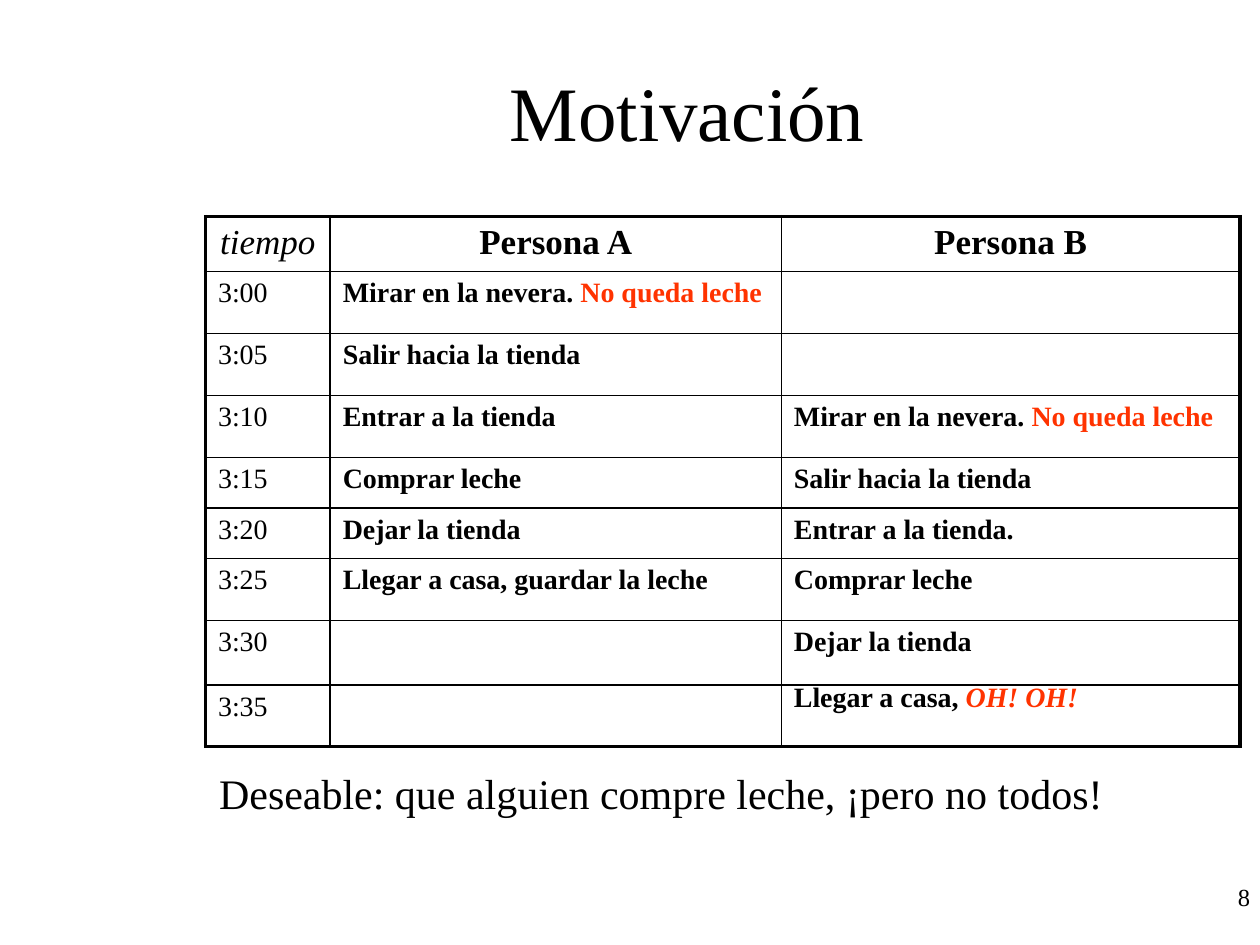
from pptx import Presentation
from pptx.dml.color import RGBColor
from pptx.enum.text import MSO_ANCHOR, PP_ALIGN
from pptx.oxml.ns import qn
from pptx.util import Pt
from lxml.etree import SubElement

FONT = "Times New Roman"
COLORS = {"black": "000000", "white": "FFFFFF", "alert": "FF3300"}

HEADER = ["tiempo", "Persona A", "Persona B"]
LOOK = ("Mirar en la nevera. ", "No queda leche")
SCHEDULE = [
    ("3:00", LOOK, ""),
    ("3:05", "Salir hacia la tienda", ""),
    ("3:10", "Entrar a la tienda", LOOK),
    ("3:15", "Comprar leche", "Salir hacia la tienda"),
    ("3:20", "Dejar la tienda", "Entrar a la tienda."),
    ("3:25", "Llegar a casa, guardar la leche", "Comprar leche"),
    ("3:30", "", "Dejar la tienda"),
    ("3:35", "", ("Llegar a casa, ", "OH! OH!")),
]
COL_WIDTHS = [71.3, 257.8, 262.1]
ROW_HEIGHTS = [31.2, 35.5, 35.5, 35.5, 28.8, 28.8, 35.5, 36.8, 35.2]
THIN, THICK = 1, 2.25

TEXTS = [
    ("Motivación", (113.8, 18, 558, 90), 44, PP_ALIGN.CENTER, MSO_ANCHOR.MIDDLE, 1),
    ("Deseable: que alguien compre leche, ¡pero no todos!",
     (118.1, 438.5, 565.2, 42.5), 24, PP_ALIGN.LEFT, MSO_ANCHOR.TOP, 0.9),
    ("8", (571.7, 500.4, 149.8, 36), 14, PP_ALIGN.RIGHT, MSO_ANCHOR.TOP, 1),
]


def rgb(name):
    return RGBColor.from_string(COLORS[name])


def style(r, size, bold=False, italic=False, color="black"):
    r.font.name = FONT
    r.font.size = Pt(size)
    r.font.bold = bold
    r.font.italic = italic
    r.font.color.rgb = rgb(color)


def add_text(s, text, box, size, align, anchor, spacing):
    tf = s.shapes.add_textbox(*map(Pt, box)).text_frame
    tf.word_wrap = True
    tf.vertical_anchor = anchor
    tf.text = text
    p = tf.paragraphs[0]
    p.alignment = align
    p.line_spacing = spacing
    style(p.runs[0], size)


def set_borders(cell, row, col, last_row, last_col):
    outer = {"a:lnL": col == 0, "a:lnR": col == last_col,
             "a:lnT": row == 0, "a:lnB": row == last_row}
    tc_pr = cell._tc.get_or_add_tcPr()
    for tag, is_outer in outer.items():
        width = Pt(THICK if is_outer else THIN)
        ln = SubElement(tc_pr, qn(tag), w=str(int(width)))
        fill = SubElement(ln, qn("a:solidFill"))
        SubElement(fill, qn("a:srgbClr"), val=COLORS["black"])


def fill_cell(cell, content, row, col):
    parts = (content,) if isinstance(content, str) else content
    p = cell.text_frame.paragraphs[0]
    if row == 0:
        p.alignment = PP_ALIGN.CENTER
    for i, part in enumerate(filter(None, parts)):
        r = p.add_run()
        r.text = part
        style(r, 20 if row == 0 else 16, bold=col > 0,
              italic=part in ("tiempo", "OH! OH!"),
              color="alert" if i else "black")


def add_schedule(s):
    rows = [HEADER, *SCHEDULE]
    table = s.shapes.add_table(
        len(rows), len(HEADER), Pt(117.4), Pt(123.8),
        Pt(sum(COL_WIDTHS)), Pt(sum(ROW_HEIGHTS))).table
    for column, width in zip(table.columns, COL_WIDTHS):
        column.width = Pt(width)
    for table_row, height in zip(table.rows, ROW_HEIGHTS):
        table_row.height = Pt(height)
    for i, row in enumerate(rows):
        for j, content in enumerate(row):
            cell = table.cell(i, j)
            set_borders(cell, i, j, len(rows) - 1, len(HEADER) - 1)
            cell.fill.background()
            fill_cell(cell, content, i, j)
    table.cell(len(rows) - 1, 2).text_frame.paragraphs[0].line_spacing = 0.65


def main():
    prs = Presentation()
    prs.slide_width, prs.slide_height = Pt(720), Pt(540)
    s = prs.slides.add_slide(prs.slide_layouts[6])
    s.background.fill.solid()
    s.background.fill.fore_color.rgb = rgb("white")
    for item in TEXTS:
        add_text(s, *item)
    add_schedule(s)
    prs.save("out.pptx")


if __name__ == "__main__":
    main()
